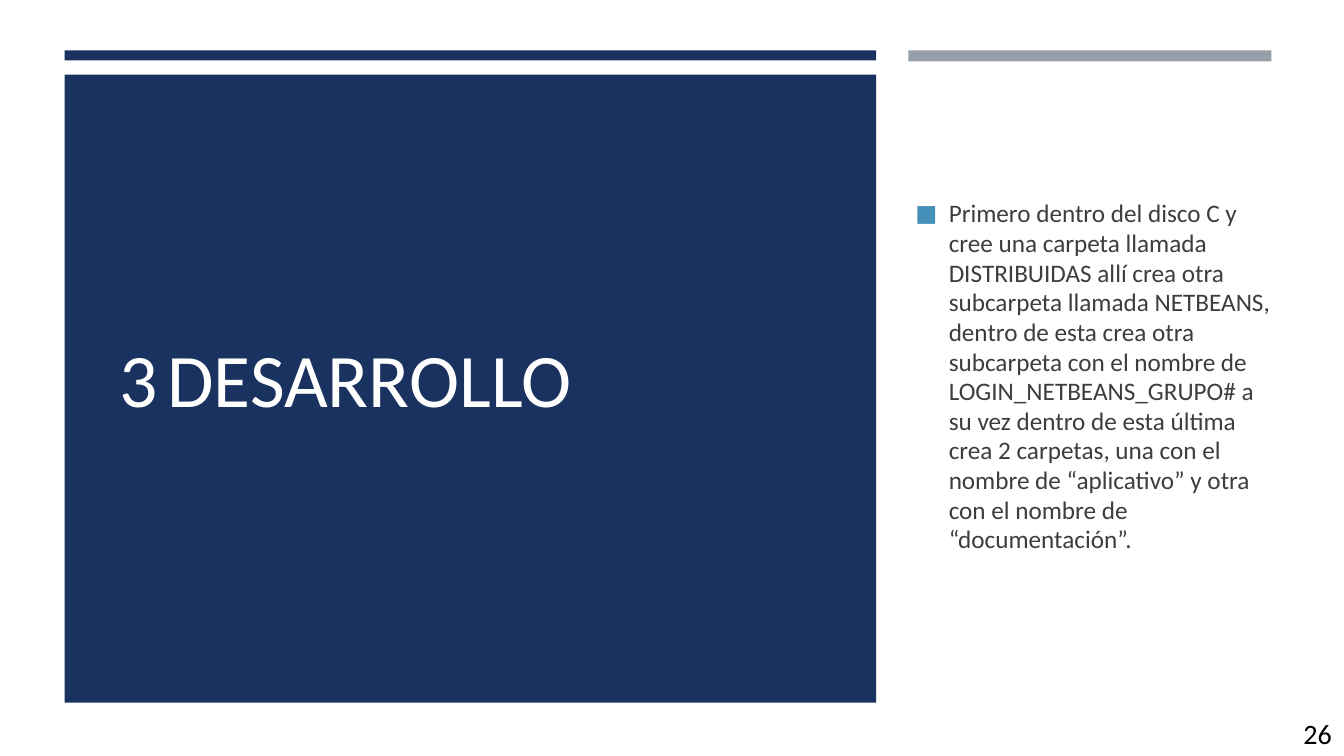
from dataclasses import dataclass

from lxml import etree
from pptx import Presentation
from pptx import util as u
from pptx.dml.color import RGBColor
from pptx.enum import shapes, text
from pptx.oxml.ns import qn

TITLE = "3\tDESARROLLO"
STEPS = (
    "Primero dentro del disco C y cree una carpeta llamada DISTRIBUIDAS allí crea otra "
    "subcarpeta llamada NETBEANS, dentro de esta crea otra subcarpeta con el nombre de "
    "LOGIN_NETBEANS_GRUPO# a su vez dentro de esta última crea 2 carpetas, una con el "
    "nombre de “aplicativo” y otra con el nombre de “documentación”."
)
PAGE = "26"


@dataclass(frozen=True)
class Theme:
    font: str = "Calibri"
    navy: str = "1A3260"
    grey: str = "969FA7"
    bullet: str = "4590B8"
    white: str = "FFFFFF"
    body: str = "3D3D3D"
    black: str = "000000"
    title_size: int = 54
    body_size: int = 18
    page_size: int = 20


T = Theme()
PX = 9144  # 100 px to the inch
WIDTH, HEIGHT = 1333, 750
LEFT, PANEL_W, BAR_TOP = 64, 805, 50
TEXT_TOP, TEXT_H = 126, 496
INDENT, TITLE_TAB = 33, 47

BLOCKS = [
    ((LEFT, BAR_TOP, PANEL_W, 10), T.navy),
    ((901, BAR_TOP, 360, 11), T.grey),
    ((LEFT, 74, PANEL_W, 623), T.navy),
]


def emu(box):
    return [u.Emu(v * PX) for v in box]


def add_child(parent, tag, **attrs):
    return etree.SubElement(parent, qn(tag), attrs)


def add_bullet(p):
    pPr = p._p.get_or_add_pPr()
    pPr.set("marL", str(INDENT * PX))
    pPr.set("indent", str(-INDENT * PX))
    add_child(add_child(pPr, "a:buClr"), "a:srgbClr", val=T.bullet)
    add_child(pPr, "a:buSzPct", val="92000")
    add_child(pPr, "a:buFont", typeface=T.font)
    add_child(pPr, "a:buChar", char="■")


def add_tab(p):
    tabs = add_child(p._p.get_or_add_pPr(), "a:tabLst")
    add_child(tabs, "a:tab", pos=str(TITLE_TAB * PX), algn="l")


def write(sp, box, words, size, color, anchor=text.MSO_ANCHOR.MIDDLE,
          wrap=True, prepare=None, after=0, spacing=1.0):
    """Place a text shape and fill it; prepare adds a bullet or tab first."""
    sp.left, sp.top, sp.width, sp.height = emu(box)
    tf = sp.text_frame
    tf.word_wrap = wrap
    tf.auto_size = text.MSO_AUTO_SIZE.NONE
    tf.vertical_anchor = anchor
    tf.text = words
    p = tf.paragraphs[0]
    if prepare:
        prepare(p)
    p.alignment = text.PP_ALIGN.LEFT
    p.space_before, p.space_after = u.Pt(0), u.Pt(after)
    p.line_spacing = spacing
    p.font.name, p.font.size = T.font, u.Pt(size)
    p.font.color.rgb = RGBColor.from_string(color)


def main():
    prs = Presentation()
    prs.slide_width, prs.slide_height = emu((WIDTH, HEIGHT))
    s = prs.slides.add_slide(prs.slide_layouts[1])
    title, body = s.placeholders

    for box, color in BLOCKS:
        sp = s.shapes.add_shape(shapes.MSO_SHAPE.RECTANGLE, *emu(box))
        sp.shadow.inherit = False
        sp.fill.solid()
        sp.fill.fore_color.rgb = RGBColor.from_string(color)
        sp.line.fill.background()
        title._element.addprevious(sp._element)

    write(title, (109, TEXT_TOP, 720, TEXT_H), TITLE, T.title_size, T.white,
          prepare=add_tab)
    write(body, (898, TEXT_TOP, 372, TEXT_H), STEPS, T.body_size, T.body,
          prepare=add_bullet, after=6, spacing=0.98)
    page_box = (1283, 706, 50, 44)
    write(s.shapes.add_textbox(*emu(page_box)), page_box, PAGE, T.page_size, T.black,
          anchor=text.MSO_ANCHOR.TOP, wrap=False)
    prs.save("out.pptx")


if __name__ == "__main__":
    main()
